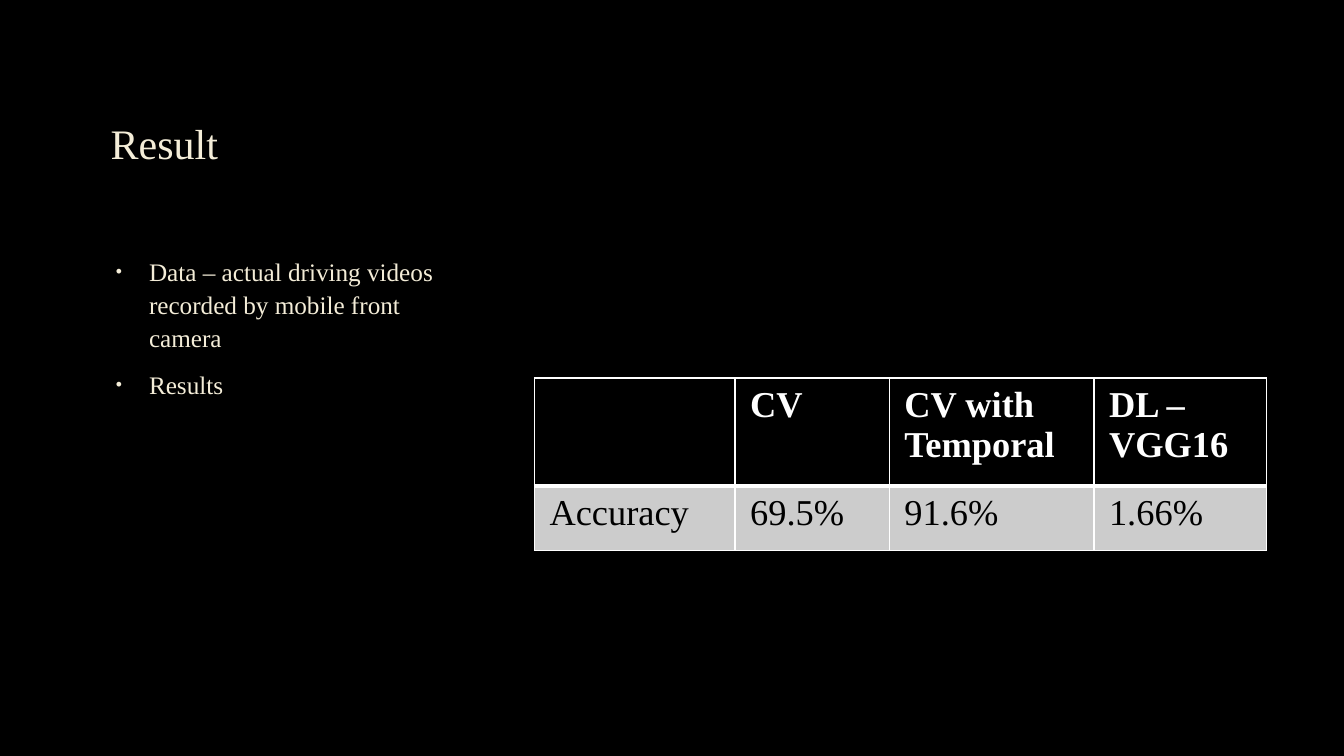
from lxml import etree
from pptx import Presentation
from pptx.dml.color import RGBColor
from pptx.enum.text import MSO_ANCHOR
from pptx.oxml.ns import qn
from pptx.util import Inches, Pt

# Content
TITLE = "Result"
POINTS = ["Data – actual driving videos recorded by mobile front camera", "Results"]
RESULTS = [
    ["", "CV", "CV with Temporal", "DL – VGG16"],
    ["Accuracy", "69.5%", "91.6%", "1.66%"],
]

# Look and layout, in inches and points
COLORS = {"back": "000000", "cream": "F4EDD8", "white": "FFFFFF", "black": "000000", "band": "CCCCCC"}
FONT = "Times New Roman"
TITLE_BOX = (1, 0.7, 3.7, 1.5)
POINTS_BOX = (1, 2.46, 3.67, 3.88)
TABLE_BOX = (5.3, 3.75, 7.26, 1.71)
COLUMN_WIDTHS = [1.99, 1.53, 2.03, 1.71]
ROW_HEIGHTS = [1.07, 0.64]
ROW_STYLES = [
    {"fill": "back", "color": "white", "bold": True, "borders": {"L": 1, "R": 1, "T": 1, "B": 3}},
    {"fill": "band", "color": "black", "bold": False, "borders": {"L": 1, "R": 1, "T": 3, "B": 1}},
]
CELL_FORMAT = {"margin_left": Inches(0.15), "margin_right": Inches(0.15),
               "margin_top": Inches(0.07), "margin_bottom": Inches(0.07)}
POINT_FORMAT = {"line_spacing": 1.1, "space_before": Pt(3.6), "space_after": Pt(6)}


def apply(target, values):
    for name, value in values.items():
        setattr(target, name, value)


def write(paragraph, words, size, color, bold=False):
    run = paragraph.add_run()
    run.text = words
    apply(run.font, {"name": FONT, "size": Pt(size), "bold": bold})
    run.font.color.rgb = RGBColor.from_string(COLORS[color])


def add_text_frame(box):
    frame = slide.shapes.add_textbox(*map(Inches, box)).text_frame
    frame.word_wrap = True
    return frame


def add_color(parent, color):
    etree.SubElement(parent, qn("a:srgbClr"), val=COLORS[color])


def add_bullet(paragraph):
    props = paragraph._p.get_or_add_pPr()
    props.set("marL", str(Inches(0.38)))
    props.set("indent", str(Inches(-0.33)))
    add_color(etree.SubElement(props, qn("a:buClr")), "cream")
    etree.SubElement(props, qn("a:buSzPct"), val="70000")
    etree.SubElement(props, qn("a:buFont"), typeface="Arial")
    etree.SubElement(props, qn("a:buChar"), char="•")


def add_borders(cell, widths):
    props = cell._tc.get_or_add_tcPr()
    for place, (side, width) in enumerate(widths.items()):
        line = etree.Element(qn("a:ln" + side), w=str(Pt(width)))
        add_color(etree.SubElement(line, qn("a:solidFill")), "white")
        props.insert(place, line)


deck = Presentation()
apply(deck, {"slide_width": Inches(13.33), "slide_height": Inches(7.5)})
slide = deck.slides.add_slide(deck.slide_layouts[6])
slide.background.fill.solid()
slide.background.fill.fore_color.rgb = RGBColor.from_string(COLORS["back"])

# Title
title = add_text_frame(TITLE_BOX)
title.vertical_anchor = MSO_ANCHOR.MIDDLE
title.paragraphs[0].line_spacing = 0.9
write(title.paragraphs[0], TITLE, 30, "cream")

# Bullet points
points = add_text_frame(POINTS_BOX)
for index, words in enumerate(POINTS):
    point = points.add_paragraph() if index else points.paragraphs[0]
    apply(point, POINT_FORMAT)
    add_bullet(point)
    write(point, words, 18, "cream")

# Accuracy table
accuracy = slide.shapes.add_table(len(RESULTS), len(RESULTS[0]), *map(Inches, TABLE_BOX)).table
for column, width in zip(accuracy.columns, COLUMN_WIDTHS):
    column.width = Inches(width)
for row, height, style, values in zip(accuracy.rows, ROW_HEIGHTS, ROW_STYLES, RESULTS):
    row.height = Inches(height)
    for cell, value in zip(row.cells, values):
        apply(cell, CELL_FORMAT)
        cell.fill.solid()
        cell.fill.fore_color.rgb = RGBColor.from_string(COLORS[style["fill"]])
        add_borders(cell, style["borders"])
        if value:
            write(cell.text_frame.paragraphs[0], value, 26, style["color"], style["bold"])

deck.save("out.pptx")
